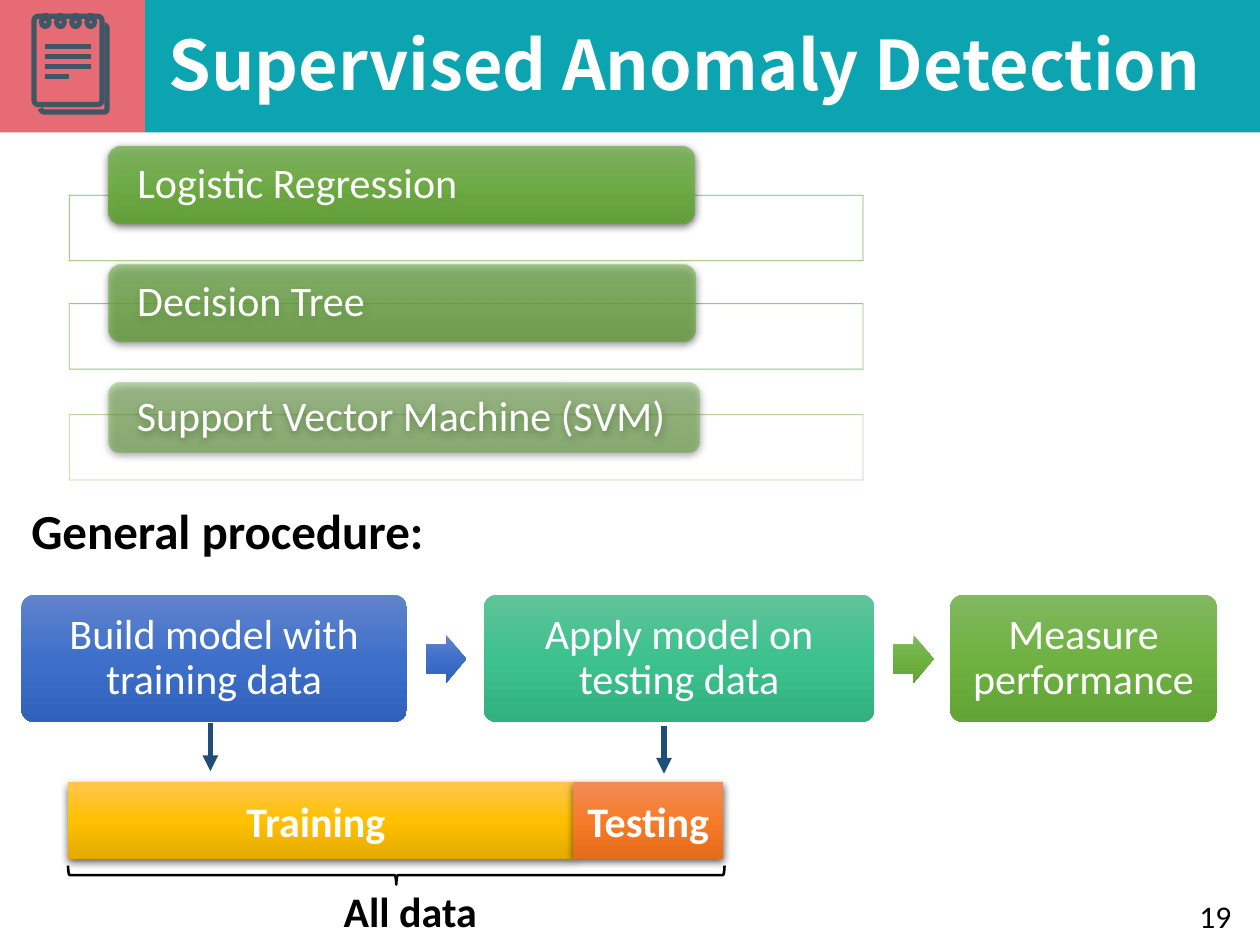
import pptx
import pptx.util
import pptx.dml.color
import pptx.enum.shapes
import pptx.enum.text
import pptx.oxml
import pptx.oxml.ns

SCALE = 9144  # EMU per px, 100 px to the inch
SHAPES = pptx.enum.shapes.MSO_SHAPE
STRAIGHT = pptx.enum.shapes.MSO_CONNECTOR.STRAIGHT
ALIGN = pptx.enum.text.PP_ALIGN
MIDDLE = pptx.enum.text.MSO_ANCHOR.MIDDLE
RGB = pptx.dml.color.RGBColor.from_string
NS = pptx.oxml.ns.nsdecls("a")


class Theme:
    white, black = "FFFFFF", "000000"
    teal, coral, ink, navy, leaf = "0CA4B0", "E76B74", "415665", "1F4E79", "70AD47"
    green = ("81B861", "6FB242", "62A336")
    blue = ("6183CB", "3E70CA", "3062BB")
    mint = ("60C39A", "3DC18F", "31B080")
    gold = ("FFC64B", "FFC000", "E3AB00")
    orange = ("F18C57", "F67B28", "E56C19")
    font, title_font = "Calibri", "Noto Sans CJK SC"
    title, heading, body, small = 39, 28, 24, 18


deck = pptx.Presentation()
deck.slide_width, deck.slide_height = 1000 * SCALE, 750 * SCALE
page = deck.slides.add_slide(deck.slide_layouts[6])


def draw(kind, at, fill=None, opacity=100, line=None, width=1, shadow=False):
    """Add a preset shape; a tuple of three colours fills it with a gradient."""
    shape = page.shapes.add_shape(kind, *(n * SCALE for n in at))
    shape.shadow.inherit = False
    properties = shape._element.spPr
    if isinstance(fill, tuple):
        shape.fill.gradient()
        shape.fill.gradient_angle = 270
        stops = properties.find(".//" + pptx.oxml.ns.qn("a:gsLst"))
        stops.clear()
        for position, color in zip((0, 50000, 100000), fill):
            stops.append(pptx.oxml.parse_xml(
                f'<a:gs {NS} pos="{position}"><a:srgbClr val="{color}">'
                f'<a:alpha val="{opacity * 1000}"/></a:srgbClr></a:gs>'))
    elif fill:
        shape.fill.solid()
        shape.fill.fore_color.rgb = RGB(fill)
    else:
        shape.fill.background()
    if line:
        shape.line.color.rgb = RGB(line)
        shape.line.width = pptx.util.Pt(width)
    else:
        shape.line.fill.background()
    if shadow:
        properties.find(pptx.oxml.ns.qn("a:effectLst")).append(pptx.oxml.parse_xml(
            f'<a:outerShdw {NS} blurRad="57150" dist="19050" dir="5400000" algn="ctr" '
            f'rotWithShape="0"><a:srgbClr val="{Theme.black}"><a:alpha val="63000"/>'
            '</a:srgbClr></a:outerShdw>'))
    return shape


def write(box, text, size=Theme.body, color=Theme.white, bold=False, font=Theme.font,
          align=ALIGN.CENTER, spacing=1, insets=(10, 5)):
    frame = box.text_frame
    frame.word_wrap = True
    frame.vertical_anchor = MIDDLE
    frame.margin_left = frame.margin_right = insets[0] * SCALE
    frame.margin_top = frame.margin_bottom = insets[1] * SCALE
    frame.text = text
    para = frame.paragraphs[0]
    para.alignment = align
    para.line_spacing = spacing
    for span in para.runs:
        span.font.name, span.font.size, span.font.bold = font, pptx.util.Pt(size), bold
        span.font.color.rgb = RGB(color)


# List of methods, fading downwards
for text, frame_top, tab, opacity in (
        ("Logistic Regression", 155, (86, 116, 465, 61), 90),
        ("Decision Tree", 241, (86, 210, 466, 61), 70),
        ("Support Vector Machine (SVM)", 329, (86, 304, 469, 55), 50)):
    outline = draw(SHAPES.RECTANGLE, (55, frame_top, 630, 52), Theme.white,
                   line=Theme.leaf, width=0.5)
    for part, alpha in ((outline.fill, 90), (outline.line.fill, opacity)):
        part.fore_color._color._xClr.append(
            pptx.oxml.parse_xml(f'<a:alpha {NS} val="{alpha * 1000}"/>'))
    method = draw(SHAPES.ROUNDED_RECTANGLE, tab, Theme.green, opacity, shadow=True)
    write(method, text, align=ALIGN.LEFT, spacing=0.9, insets=(20, 3))

# Procedure steps and the arrows between them
for text, left, width, fill in (
        ("Build model with training data", 17, 306, Theme.blue),
        ("Apply model on testing data", 384, 310, Theme.mint),
        ("Measure performance", 754, 212, Theme.green)):
    step = draw(SHAPES.ROUNDED_RECTANGLE, (left, 472, width, 101), fill)
    step.adjustments[0] = 0.1
    write(step, text, spacing=0.9, insets=(13, 13))
for left, fill in ((338, Theme.blue), (709, Theme.green)):
    arrow = draw(SHAPES.RIGHT_ARROW, (left, 504, 32, 38), fill)
    arrow.adjustments[0] = 0.6

# Data bar with its brace
for text, left, width, fill in (("Training ", 54, 401, Theme.gold),
                                ("Testing", 455, 119, Theme.orange)):
    share = draw(SHAPES.RECTANGLE, (left, 621, width, 61), fill, shadow=True)
    write(share, text, bold=True)
brace = draw(SHAPES.LEFT_BRACE, (307, 434, 15, 521), line=Theme.black, width=1.5)
brace.rotation = 270

# Title band
draw(SHAPES.RECTANGLE, (115, 0, 885, 105), Theme.teal)
draw(SHAPES.RECTANGLE, (0, 0, 115, 105), Theme.coral)

# Free-standing text
for text, at, style in (
        ("Supervised Anomaly Detection", (127, 14, 873, 80),
         dict(size=Theme.title, font=Theme.title_font, bold=True, spacing=0.9,
              align=ALIGN.LEFT, insets=(7, 4))),
        ("General procedure:", (15, 392, 794, 57),
         dict(size=Theme.heading, color=Theme.black, bold=True, align=ALIGN.LEFT)),
        ("All data", (263, 700, 126, 45),
         dict(color=Theme.black, bold=True, align=ALIGN.LEFT)),
        ("19", (762, 707, 225, 40),
         dict(size=Theme.small, color=Theme.black, align=ALIGN.RIGHT))):
    write(page.shapes.add_textbox(*(n * SCALE for n in at)), text, **style)

# Notepad: back sheet, front sheet, ring holes
builder = page.shapes.build_freeform(32, 86, scale=SCALE)
builder.add_line_segments(
    [(33, 88), (35, 89), (83, 89), (85, 88), (85, 85), (85, 22), (84, 20), (83, 20)],
    close=False)
back_sheet = builder.convert_to_shape()
back_sheet.shadow.inherit = False
back_sheet.fill.background()
back_sheet.line.color.rgb = RGB(Theme.ink)
back_sheet.line.width = pptx.util.Pt(3)
front_sheet = draw(SHAPES.ROUNDED_RECTANGLE, (27, 13, 54, 70), line=Theme.ink, width=3)
front_sheet.adjustments[0] = 0.06
rings = (36, 48, 60, 72)
for x in rings:
    draw(SHAPES.OVAL, (x - 3, 14, 6, 7), line=Theme.ink, width=3)

# Straight lines: notepad rules, ring wires, arrows to the data bar
rules = [(36, y, 72, y) for y in (37, 45, 53)] + [(36, 61, 55, 61)]
wires = [(x, 10, x, 17) for x in rings]
pointers = [(167, 574, 167, 612), (527, 576, 527, 614)]
for ends in rules + wires + pointers:
    pointing = ends in pointers
    line = page.shapes.add_connector(STRAIGHT, *(n * SCALE for n in ends))
    line.line.color.rgb = RGB(Theme.navy if pointing else Theme.ink)
    line.line.width = pptx.util.Pt(3)
    if pointing:
        line.line._get_or_add_ln().append(
            pptx.oxml.parse_xml(f'<a:tailEnd {NS} type="triangle"/>'))
    line._element.spPr.append(pptx.oxml.parse_xml(f"<a:effectLst {NS}/>"))

deck.save("out.pptx")
